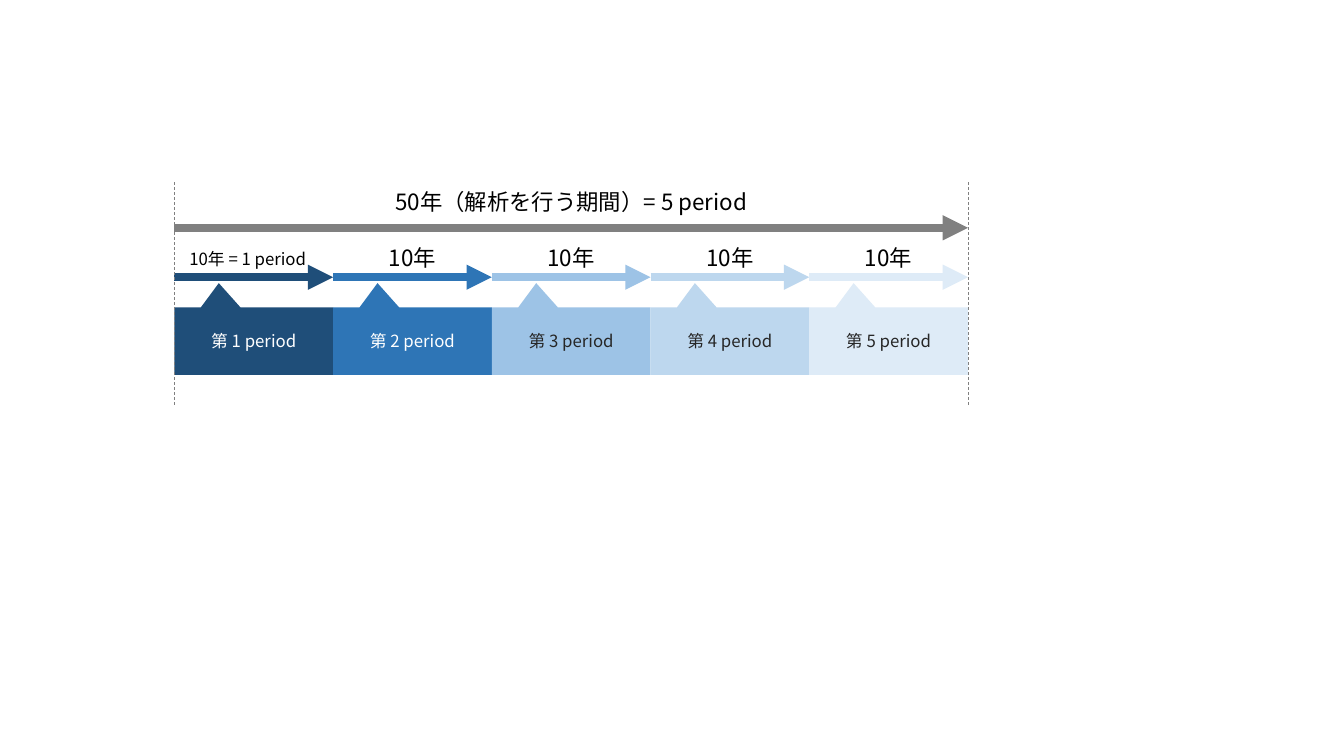
"""Build a slide that splits a 50-year analysis span into five periods."""
from lxml.etree import SubElement
from pptx import Presentation
from pptx.dml.color import RGBColor
from pptx.enum.dml import MSO_LINE
from pptx.enum.shapes import MSO_CONNECTOR, MSO_SHAPE
from pptx.enum.text import MSO_ANCHOR, PP_ALIGN
from pptx.oxml.ns import qn
from pptx.util import Inches, Pt

FONT = "Noto Sans CJK JP"
COLORS = {"gray": "808080", "black": "000000", "white": "FFFFFF", "dark": "262626",
          "p1": "1F4E79", "p2": "2E75B6", "p3": "9DC3E6", "p4": "BDD7EE", "p5": "DEEBF7"}
TITLE = "50年（解析を行う期間）= 5 period"
PERIODS = [
    ("10年 = 1 period", "第 1 period", "p1", "white"),
    ("10年", "第 2 period", "p2", "white"),
    ("10年", "第 3 period", "p3", "dark"),
    ("10年", "第 4 period", "p4", "dark"),
    ("10年", "第 5 period", "p5", "dark"),
]
LEFT, RIGHT = 1.73, 9.6
STEP = (RIGHT - LEFT) / len(PERIODS)
SPAN_Y, PERIOD_Y = 2.26, 2.75
GUIDE_TOP, GUIDE_BOTTOM = 1.81, 4.03
BOX_TOP, BOX_H = 3.05, 0.67


def rgb(name):
    return RGBColor.from_string(COLORS[name])


def write(sp, text, size, color):
    tf = sp.text_frame
    tf.word_wrap = True
    tf.text = text
    p = tf.paragraphs[0]
    p.alignment = PP_ALIGN.CENTER
    r = p.runs[0]
    r.font.size, r.font.name = Pt(size), FONT
    r.font.color.rgb = rgb(color)
    SubElement(r.font._element, qn("a:ea"), typeface=FONT)


def add_label(center, top, width, height, text, size):
    sp = s.shapes.add_textbox(Inches(center - width / 2), Inches(top), Inches(width), Inches(height))
    write(sp, text, size, "black")


def add_line(x1, y1, x2, y2, color, width):
    line = s.shapes.add_connector(MSO_CONNECTOR.STRAIGHT, *map(Inches, (x1, y1, x2, y2)))
    line.line.color.rgb = rgb(color)
    line.line.width = Pt(width)
    SubElement(line._element.spPr, qn("a:effectLst"))
    return line


def add_arrow(x1, x2, y, color):
    arrow = add_line(x1, y, x2, y, color, 6)
    SubElement(arrow.line._get_or_add_ln(), qn("a:tailEnd"), type="triangle")


def add_guide(x):
    add_line(x, GUIDE_TOP, x, GUIDE_BOTTOM, "gray", 0.5).line.dash_style = MSO_LINE.DASH


def add_callout(x, text, fill, color):
    sp = s.shapes.add_shape(MSO_SHAPE.RECTANGULAR_CALLOUT, Inches(x), Inches(BOX_TOP),
                            Inches(STEP), Inches(BOX_H))
    sp.adjustments[0], sp.adjustments[1] = -0.22, -0.86
    sp.shadow.inherit = False
    sp.fill.solid()
    sp.fill.fore_color.rgb = rgb(fill)
    sp.line.fill.background()
    sp.text_frame.vertical_anchor = MSO_ANCHOR.MIDDLE
    write(sp, text, 12, color)


prs = Presentation()
prs.slide_width, prs.slide_height = Inches(13.33), Inches(7.5)
s = prs.slides.add_slide(prs.slide_layouts[6])

add_arrow(LEFT, RIGHT, SPAN_Y, "gray")
add_label((LEFT + RIGHT) / 2, 1.82, 4.45, 0.37, TITLE, 16)
for i, (years, name, fill, color) in enumerate(PERIODS):
    x = LEFT + i * STEP
    add_arrow(x, x + STEP, PERIOD_Y, fill)
    add_callout(x, name, fill, color)
    if i == 0:
        add_label(x + STEP / 2 - 0.06, 2.42, 2.08, 0.3, years, 12)
    else:
        add_label(x + STEP / 2, 2.37, 0.77, 0.37, years, 16)
for x in (LEFT, RIGHT):
    add_guide(x)

prs.save("out.pptx")
